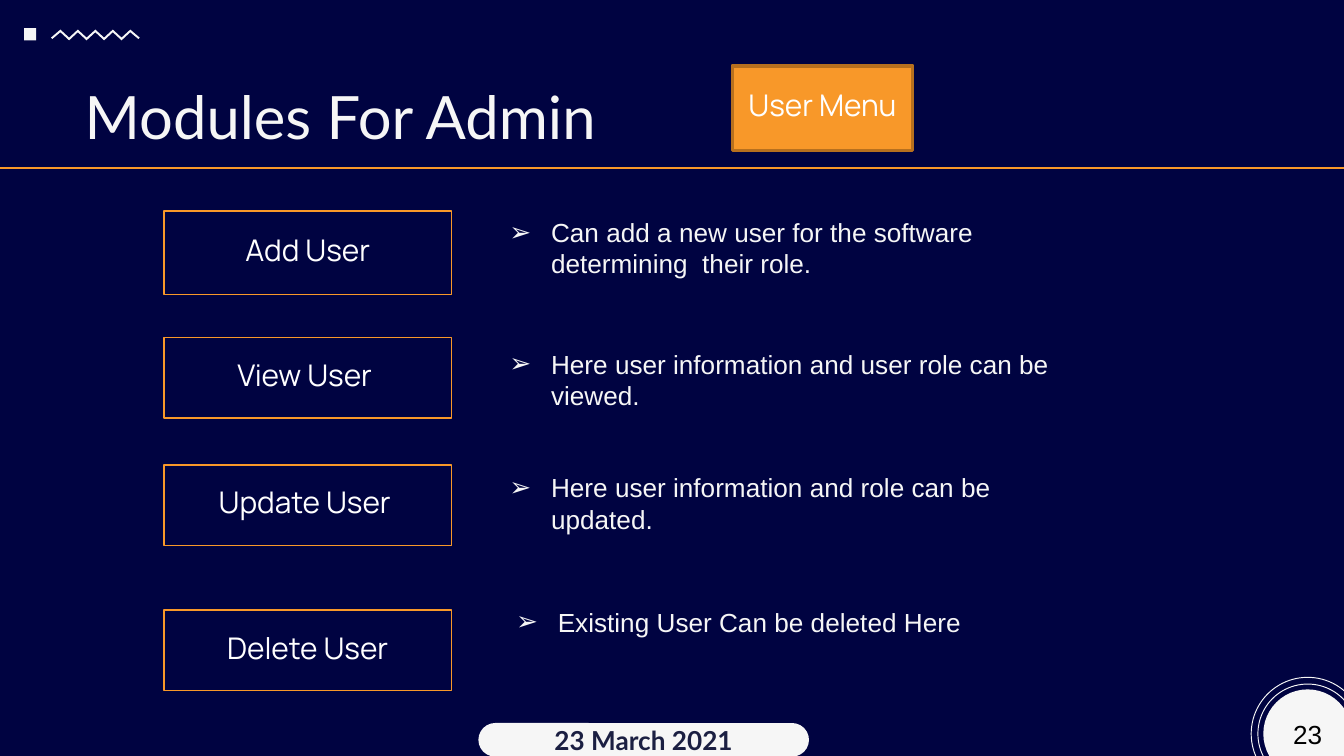
from lxml import etree
from pptx import Presentation
from pptx.dml.color import RGBColor
from pptx.enum.shapes import MSO_CONNECTOR as Connector, MSO_SHAPE as Shape
from pptx.enum.text import MSO_ANCHOR as Anchor, MSO_AUTO_SIZE as AutoSize, PP_ALIGN as Align
from pptx.oxml.ns import qn
from pptx.util import Inches, Pt

WIDTH = 10
HEIGHT = WIDTH * 9 / 16
NAVY, ORANGE, BROWN, PALE, WHITE = "000341", "F89829", "B7701E", "F6F6F6", "FFFFFF"
INK, BLACK = "1B1F42", "000000"

# Columns: left edge and width
BOX_COLUMN = (1.22, 2.14)
LIST_COLUMN = (3.69, 4.25)
LIST_INDENT = 0.31
COMPARISON_LAYOUT = 4  # a title and four body placeholders

# Rows: label, box top and height, description, list top and height, list shift
MODULES = [
    ("Add User", 1.57, 0.62,
     "Can add a new user for the software  determining  their role.", 1.56, 0.81, 0),
    ("View User ", 2.51, 0.6,
     "Here user information and user role can be viewed.", 2.54, 0.57, 0),
    ("Update User ", 3.46, 0.6,
     "Here user information and role can be updated.", 3.46, 0.57, 0),
    ("Delete User", 4.54, 0.6,
     "Existing User Can be deleted Here", 4.46, 0.34, 0.05),
]

TITLE_FONT = {"name": "Lato", "size": Pt(32), "bold": False}
BOX_FONT = {"name": "Manrope", "size": Pt(16)}
LIST_FONT = {"name": "Arial", "size": Pt(14), "bold": False}
NUMBER_FONT = {"name": "Arial", "size": Pt(14)}
DATE_FONT = {"name": "Lato", "size": Pt(14), "bold": True}


def paint(color_format, color):
    color_format.rgb = RGBColor.from_string(color)


def write(holder, text, font, color, align=Align.CENTER, anchor=Anchor.MIDDLE,
          spacing=1.0, insets=(0.1, 0.1)):
    frame = holder.text_frame
    side, top = (Inches(inset) for inset in insets)
    settings = {"word_wrap": True, "auto_size": AutoSize.NONE, "vertical_anchor": anchor,
                "margin_left": side, "margin_right": side,
                "margin_top": top, "margin_bottom": top}
    for name, value in settings.items():
        setattr(frame, name, value)
    para = frame.paragraphs[0]
    for name, value in {"alignment": align, "line_spacing": spacing,
                        "space_before": Pt(0)}.items():
        setattr(para, name, value)
    span = para.add_run()
    span.text = text
    for name, value in font.items():
        setattr(span.font, name, value)
    paint(span.font.color, color)
    return para


def style(shape, fill=None, line=None, weight=0.75):
    shape.shadow.inherit = False
    if fill:
        shape.fill.solid()
        paint(shape.fill.fore_color, fill)
    else:
        shape.fill.background()
    if line:
        paint(shape.line.color, line)
        shape.line.width = Pt(weight)
    else:
        shape.line.fill.background()


def add_box(page, kind, place, **look):
    box = page.shapes.add_shape(kind, *map(Inches, place))
    style(box, **look)
    return box


def place_holder(holder, *place):
    for name, value in zip(("left", "top", "width", "height"), place):
        setattr(holder, name, Inches(value))


def add_bullet(para):
    properties = para._p.get_or_add_pPr()
    properties.set("marL", str(Inches(LIST_INDENT)))
    properties.set("indent", str(-Inches(LIST_INDENT)))
    color = etree.SubElement(properties, qn("a:buClr"))
    etree.SubElement(color, qn("a:srgbClr"), val=PALE)
    etree.SubElement(properties, qn("a:buFont"), typeface="Arial")
    etree.SubElement(properties, qn("a:buChar"), char="➢")


def add_zigzag(page, left=0.45, step=0.065, turns=9):
    """A band of peaks and valleys with a short foot at each end."""
    xs = [left + step * turn for turn in range(turns)]
    drop = [0.06 * (turn % 2) for turn in range(turns)]
    upper = [(x, 0.22 + y) for x, y in zip(xs, drop)]
    lower = [(x, 0.24 + y) for x, y in zip(xs, drop)]
    start, end = xs[0], xs[-1]
    outline = ([(start - 0.07, 0.28), (start - 0.06, 0.29)] + lower
               + [(end + 0.06, 0.29), (end + 0.07, 0.28)] + upper[::-1])
    points = [(Inches(x), Inches(y)) for x, y in outline]
    builder = page.shapes.build_freeform(*points[0])
    builder.add_line_segments(points[1:], close=True)
    style(builder.convert_to_shape(), fill=PALE)


def add_rule(page, y):
    rule = page.shapes.add_connector(Connector.STRAIGHT, 0, Inches(y),
                                     Inches(WIDTH), Inches(y))
    paint(rule.line.color, ORANGE)
    rule.line.width = Pt(1.5)
    etree.SubElement(rule._element.spPr, qn("a:effectLst"))


def add_module(page, holder, label, top, height, text, list_top, list_height, shift):
    box = add_box(page, Shape.RECTANGLE, (BOX_COLUMN[0], top, BOX_COLUMN[1], height),
                  line=ORANGE)
    write(box, label, BOX_FONT, WHITE, spacing=0.8)
    place_holder(holder, LIST_COLUMN[0] + shift, list_top, LIST_COLUMN[1], list_height)
    add_bullet(write(holder, text, LIST_FONT, PALE, Align.LEFT, Anchor.TOP,
                     insets=(0.1, 0.05)))


def add_page_number(page, number, center=(9.73, 5.46)):
    def circle(radius, **look):
        x, y = center
        return add_box(page, Shape.OVAL, (x - radius, y - radius, 2 * radius, 2 * radius),
                       **look)

    for radius in (0.42, 0.37):
        circle(radius, line=PALE, weight=0.5)
    write(circle(0.33, fill=PALE), number, NUMBER_FONT, BLACK, insets=(0, 0.1))


def main():
    deck = Presentation()
    deck.slide_width, deck.slide_height = Inches(WIDTH), Inches(HEIGHT)
    page = deck.slides.add_slide(deck.slide_layouts[COMPARISON_LAYOUT])
    page.background.fill.solid()
    paint(page.background.fill.fore_color, NAVY)
    title, *bodies = page.placeholders

    # Header
    add_box(page, Shape.RECTANGLE, (0.18, 0.21, 0.09, 0.09), fill=PALE)
    add_zigzag(page)
    add_rule(page, 1.25)
    place_holder(title, 0.53, 0.49, 4.77, 0.63)
    write(title, "Modules For Admin", TITLE_FONT, PALE, Align.LEFT, Anchor.TOP)
    menu = add_box(page, Shape.RECTANGLE, (5.45, 0.49, 1.34, 0.63),
                   fill=ORANGE, line=BROWN, weight=2)
    write(menu, "User Menu", BOX_FONT, WHITE, spacing=0.8)

    # Modules and what they do
    for holder, module in zip(bodies, MODULES):
        add_module(page, holder, *module)

    # Footer
    add_page_number(page, "23")
    pill = add_box(page, Shape.ROUNDED_RECTANGLE, (3.56, 5.38, 2.46, 0.25), fill=PALE)
    pill.adjustments[0] = 0.5
    write(pill, "23 March 2021", DATE_FONT, INK)

    deck.save("out.pptx")


if __name__ == "__main__":
    main()
